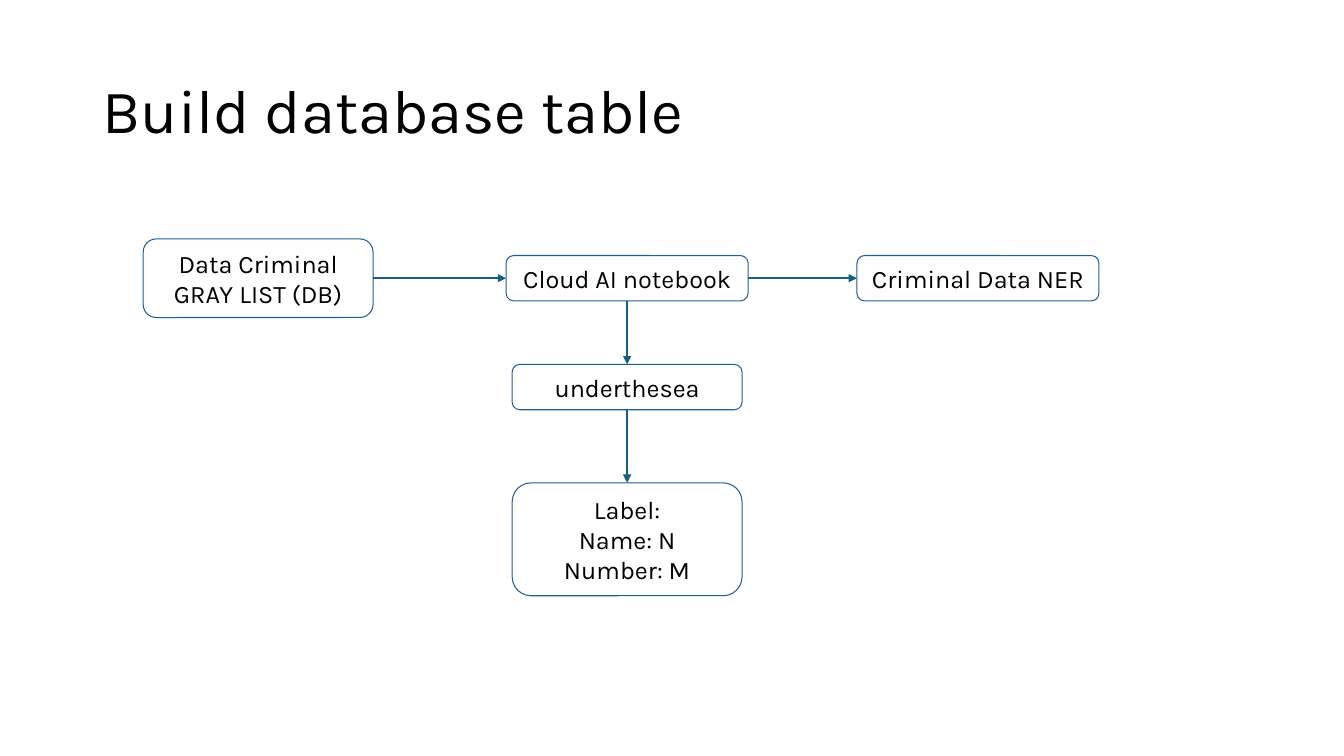
from lxml import etree
from pptx import Presentation
from pptx.dml.color import RGBColor
from pptx.enum.shapes import MSO_CONNECTOR, MSO_SHAPE
from pptx.enum.text import MSO_ANCHOR, PP_ALIGN
from pptx.oxml.ns import qn
from pptx.util import Inches, Pt

ROUNDED = MSO_SHAPE.ROUNDED_RECTANGLE
STRAIGHT = MSO_CONNECTOR.STRAIGHT
MIDDLE = MSO_ANCHOR.MIDDLE
CENTER = PP_ALIGN.CENTER

BLACK = RGBColor(0x00, 0x00, 0x00)
BOX_BLUE = RGBColor(0x21, 0x5F, 0x9A)
ARROW_BLUE = RGBColor(0x15, 0x60, 0x82)
FONT = "Karla"

TITLE = "Build database table"
COLUMNS = {"source": 2.56, "process": 6.22, "result": 9.7}
ROWS = {"flow": 2.76, "library": 3.84, "labels": 5.35}
NARROW, WIDE = 2.28, 2.4
HEIGHTS = {1: 0.45, 2: 0.78, 3: 1.12}

BOXES = {
    "criminal data": ("source", "flow", NARROW, 2, ["Data Criminal GRAY LIST (DB)"]),
    "notebook": ("process", "flow", WIDE, 1, ["Cloud AI notebook"]),
    "entities": ("result", "flow", WIDE, 1, ["Criminal Data NER"]),
    "library": ("process", "library", NARROW, 1, ["underthesea"]),
    "labels": ("process", "labels", NARROW, 3, ["Label:", "Name: N", "Number: M"]),
}
TOP, LEFT, BOTTOM, RIGHT = range(4)
ARROWS = [
    ("criminal data", RIGHT, "notebook", LEFT),
    ("notebook", RIGHT, "entities", LEFT),
    ("notebook", BOTTOM, "library", TOP),
    ("library", BOTTOM, "labels", TOP),
]


def write(frame, paragraphs, size, alignment=None):
    frame.word_wrap = True
    frame.vertical_anchor = MIDDLE
    for index, text in enumerate(paragraphs):
        paragraph = frame.add_paragraph() if index else frame.paragraphs[0]
        paragraph.text = text
        paragraph.alignment = alignment
        paragraph.font.name = FONT
        paragraph.font.size = Pt(size)
        paragraph.font.color.rgb = BLACK


def add_box(slide, column, row, width, line_count, paragraphs):
    height = HEIGHTS[line_count]
    left = COLUMNS[column] - width / 2
    top = ROWS[row] - height / 2
    shape = slide.shapes.add_shape(
        ROUNDED, Inches(left), Inches(top), Inches(width), Inches(height))
    shape.shadow.inherit = False
    shape.fill.background()
    shape.line.color.rgb = BOX_BLUE
    shape.line.width = Pt(0.75)
    write(shape.text_frame, paragraphs, 18, CENTER)
    return shape


def add_arrow(slide, start, start_side, end, end_side):
    connector = slide.shapes.add_connector(STRAIGHT, 0, 0, 0, 0)
    connector.begin_connect(start, start_side)
    connector.end_connect(end, end_side)
    connector.line.color.rgb = ARROW_BLUE
    connector.line.width = Pt(1.5)
    properties = connector._element.spPr
    etree.SubElement(properties.find(qn("a:ln")), qn("a:tailEnd"), type="triangle")
    etree.SubElement(properties, qn("a:effectLst"))


def main():
    presentation = Presentation()
    presentation.slide_width = Inches(13.33)
    presentation.slide_height = Inches(7.5)
    slide = presentation.slides.add_slide(presentation.slide_layouts[6])

    title = slide.shapes.add_textbox(Inches(0.92), Inches(0.4), Inches(11.5), Inches(1.45))
    write(title.text_frame, [TITLE], 44)
    title.text_frame.paragraphs[0].line_spacing = 0.9

    shapes = {name: add_box(slide, *box) for name, box in BOXES.items()}
    for start, start_side, end, end_side in ARROWS:
        add_arrow(slide, shapes[start], start_side, shapes[end], end_side)

    presentation.save("out.pptx")


if __name__ == "__main__":
    main()
